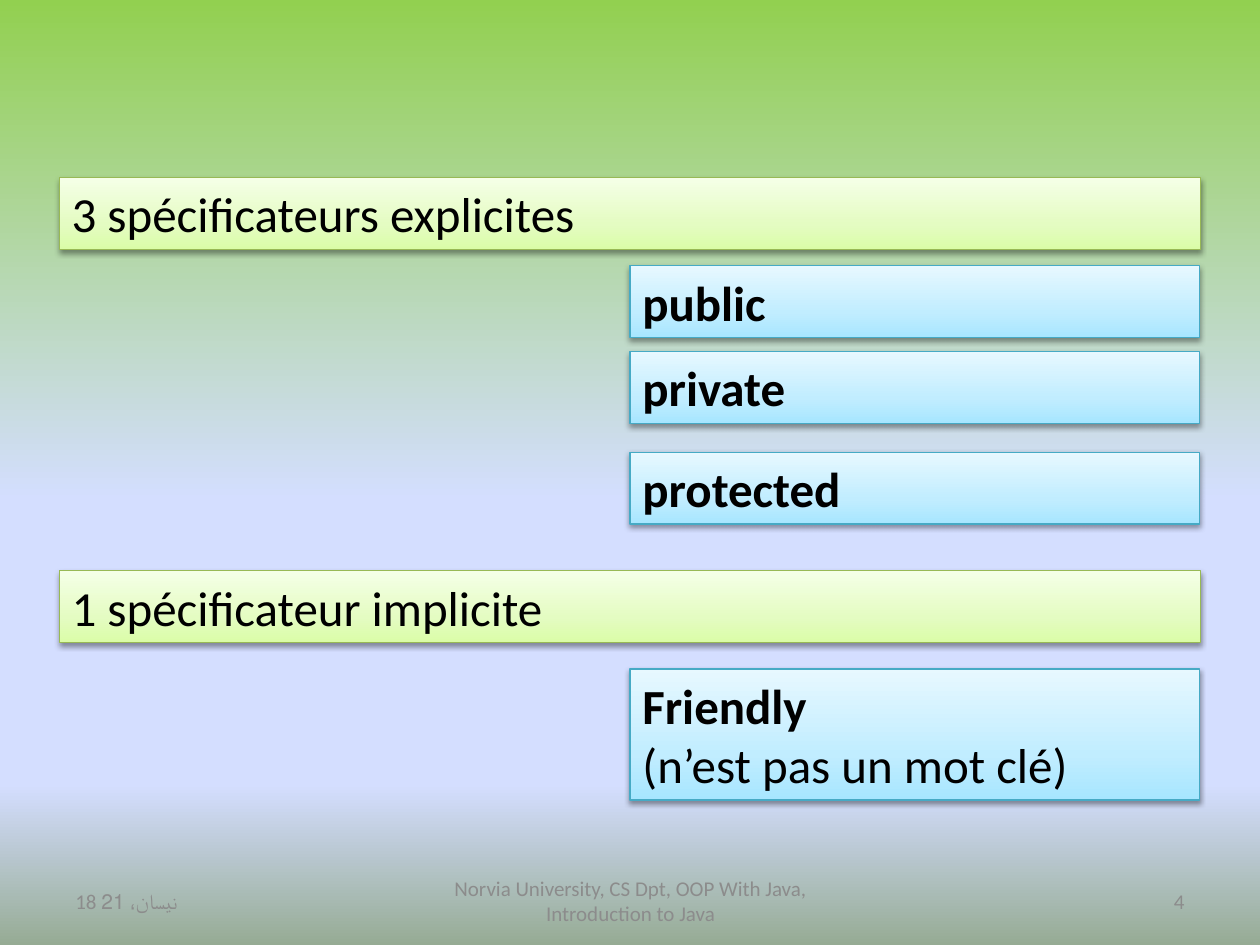
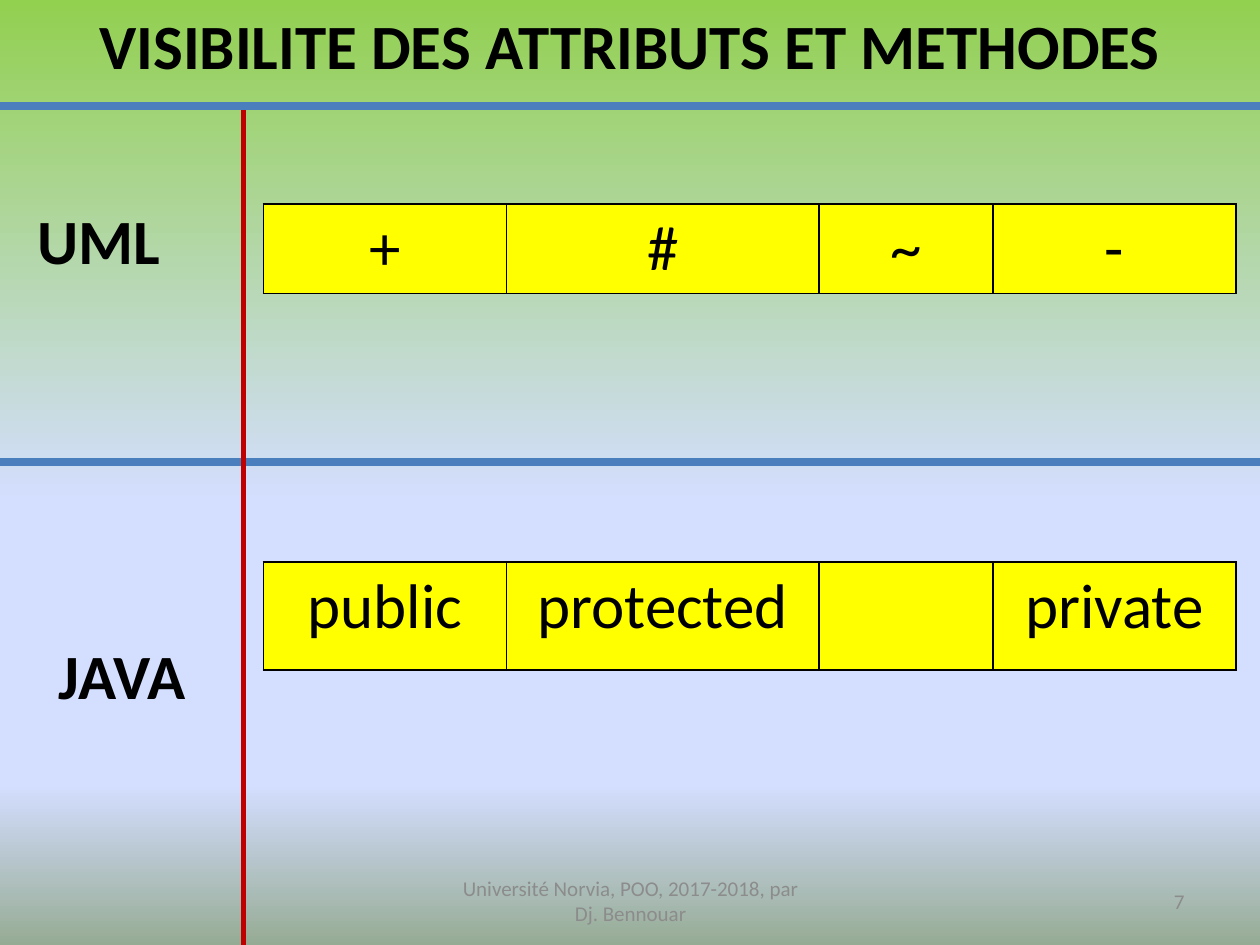
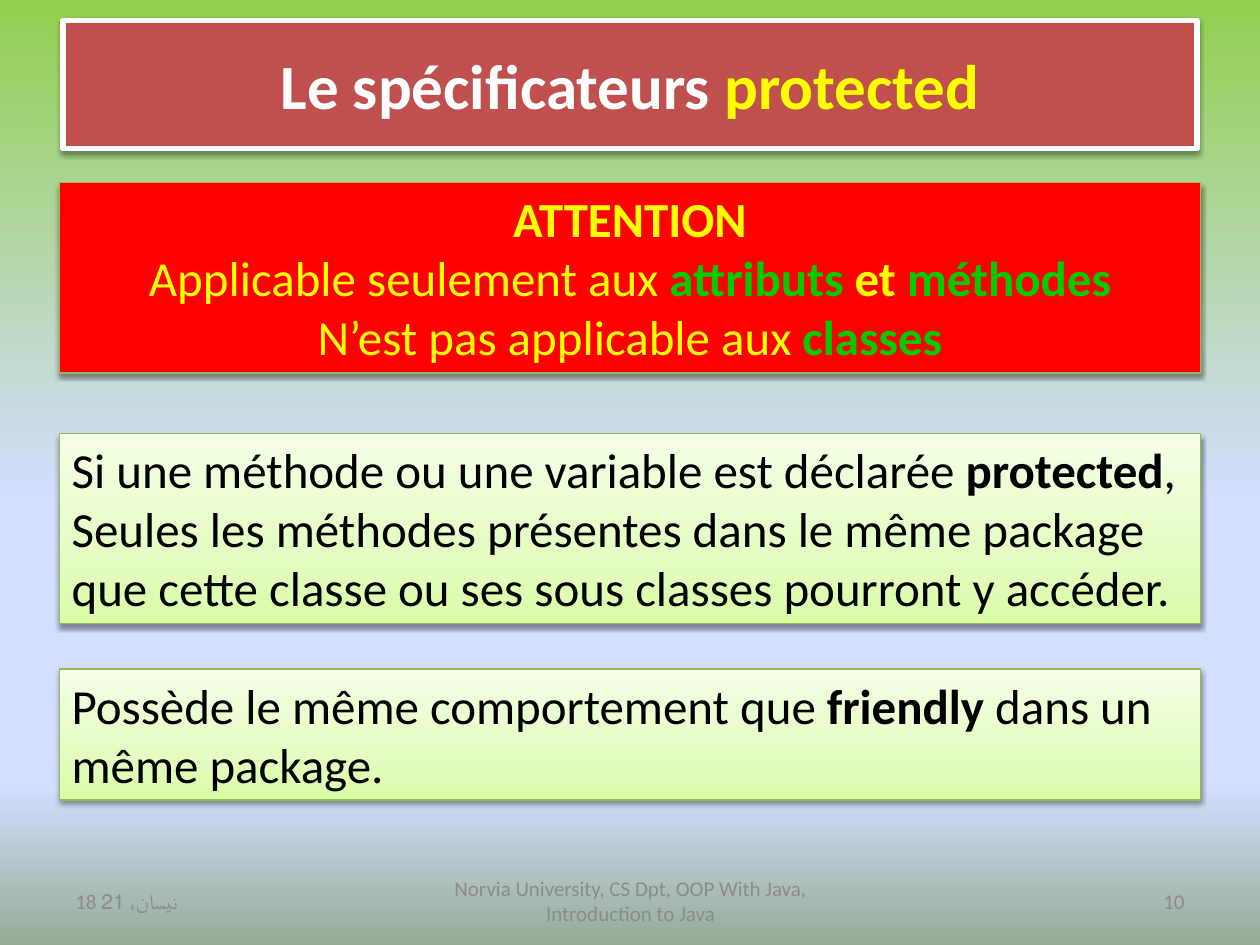
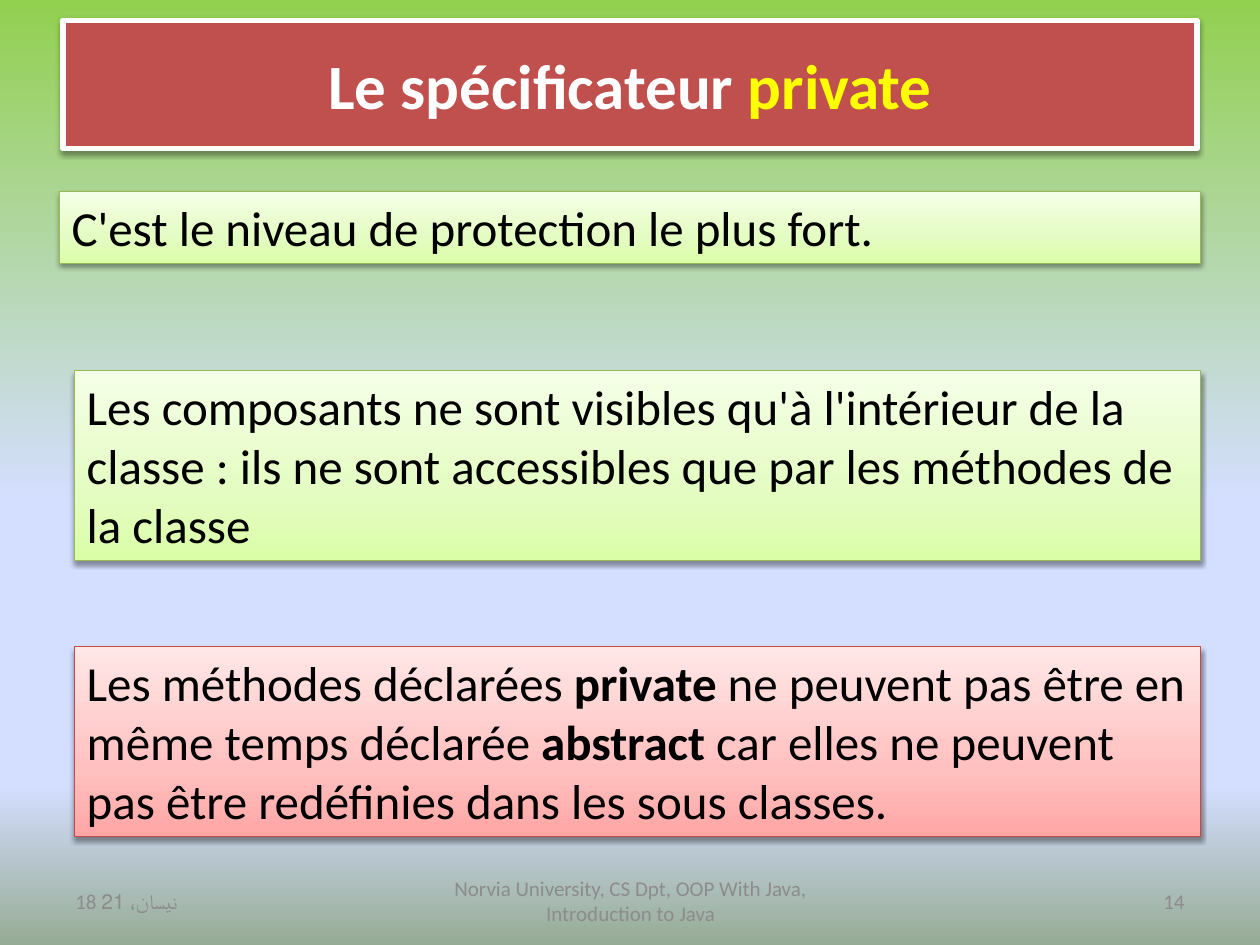
from copy import deepcopy

from pptx import Presentation
from pptx.dml.color import RGBColor
from pptx.enum.shapes import MSO_CONNECTOR, MSO_SHAPE
from pptx.enum.text import MSO_ANCHOR, PP_ALIGN
from pptx.oxml import parse_xml
from pptx.oxml.ns import nsdecls, qn
from pptx.oxml.xmlchemy import OxmlElement
from pptx.util import Pt

FONT = "Calibri"
BLACK, WHITE, GREY = "000000", "FFFFFF", "8C8C8C"
YELLOW, RED, DARK_RED, GREEN, BLUE = "FFFF00", "FF0000", "C00000", "00CC00", "4B7EBC"
BACKDROP = [(0, "92D050"), (0.53, "D4DEFF"), (0.83, "D4DEFF"), (1, "96AB94")]

# Box styles: fill (one colour or gradient stops), line colour, line width
LIME = ([(0, "DAFDA7"), (0.35, "E4FCC2"), (1, "F5FFE7")], "98B955", 0.75)
SKY = ([(0, "A7E6FF"), (0.35, "C1EDFF"), (1, "E7F8FF")], "46AAC5", 0.75)
ROSE = ([(0, "FFA6A5"), (0.35, "FFC0BF"), (1, "FFE7E7")], "BF4C48", 0.75)
ALERT = (RED, "98B955", 0.75)
BANNER = ("C0504D", WHITE, 3)

LEFT, CENTER, RIGHT = PP_ALIGN.LEFT, PP_ALIGN.CENTER, PP_ALIGN.RIGHT
TOP, MIDDLE = MSO_ANCHOR.TOP, MSO_ANCHOR.MIDDLE
BOLD = {"bold": True}
BOLD_GREEN = {"bold": True, "color": GREEN}
HEADING = {"size": 36, "bold": True, "color": BLACK}
BANNER_TEXT = {"size": 36, "bold": True, "color": WHITE}
FOOTER_TEXT = {"size": 12, "color": GREY}

PAGE_WIDTH, PAGE_HEIGHT = 720, 540
FULL = (33.84, 652.32)       # left, width
RIGHT_HALF = (360, 325.44)
INSET = (42.48, 643.68)
TITLE_AREA = (36, 11.52, 648, 73.44)
FOOTER_TOP, FOOTER_HEIGHT = 500.4, 28.8
LINE_HEIGHT, BOX_PADDING = 33.84, 7.2

COURSE = ["Norvia University, CS Dpt, OOP With Java, Introduction to Java"]
AUTHOR = ["Université Norvia, POO, 2017-2018, par", "Dj. Bennouar"]
DATE = ["18 نيسان، 21"]

# A paragraph is a string or a list of spans; a span is a string or (text, format).
# A box is (style, (left, width), top, line count, alignment, paragraphs).
SLIDES = [
    {
        "number": "4", "footer": COURSE, "date": DATE,
        "boxes": [
            (LIME, FULL, 101.5, 1, LEFT, ["3 spécificateurs explicites"]),
            (LIME, FULL, 326.2, 1, LEFT, ["1 spécificateur implicite"]),
            (SKY, RIGHT_HALF, 151.9, 1, LEFT, [[("public", BOLD)]]),
            (SKY, RIGHT_HALF, 200.9, 1, LEFT, [[("private", BOLD)]]),
            (SKY, RIGHT_HALF, 258.5, 1, LEFT, [[("protected", BOLD)]]),
            (SKY, RIGHT_HALF, 382.3, 2, LEFT,
             [[("Friendly", BOLD)], "(n’est pas un mot clé)"]),
        ],
    },
    {
        "number": "7", "footer": AUTHOR, "comparison": True,
        "heading": "VISIBILITE DES ATTRIBUTS ET METHODES",
    },
    {
        "number": "10", "footer": COURSE, "date": DATE,
        "title": ["Le spécificateurs ", ("protected", {"color": YELLOW})],
        "boxes": [
            (ALERT, FULL, 104.4, 3, CENTER, [
                [("ATTENTION", {"bold": True, "color": YELLOW})],
                [("Applicable seulement aux ", {"color": YELLOW}),
                 ("attributs", BOLD_GREEN),
                 (" et ", {"bold": True, "color": YELLOW}),
                 ("méthodes", BOLD_GREEN)],
                [("N’est pas applicable aux ", {"color": YELLOW}),
                 ("classes", BOLD_GREEN)],
            ]),
            (LIME, FULL, 247.7, 3, LEFT, [[
                "Si une méthode ou une variable est déclarée ", ("protected", BOLD),
                ", Seules les méthodes présentes dans le même package que cette "
                "classe ou ses sous classes pourront y accéder."]]),
            (LIME, FULL, 382.3, 2, LEFT, [[
                "Possède le même comportement que ", ("friendly", BOLD),
                " dans un même package."]]),
        ],
    },
    {
        "number": "14", "footer": COURSE, "date": DATE,
        "title": ["Le spécificateur ", ("private", {"color": YELLOW})],
        "boxes": [
            (LIME, FULL, 109.4, 1, LEFT, ["C'est le niveau de protection le plus fort."]),
            (LIME, INSET, 211.7, 3, LEFT, [
                "Les composants ne sont visibles qu'à l'intérieur de la classe : "
                "ils ne sont accessibles que par les méthodes de la classe"]),
            (ROSE, INSET, 369.4, 3, LEFT, [[
                "Les méthodes déclarées ", ("private", BOLD),
                " ne peuvent pas être en même temps déclarée ", ("abstract", BOLD),
                " car elles ne peuvent pas être redéfinies dans les sous classes."]]),
        ],
    },
]

LANGUAGES = [("UML", (14.4, 111.6, 107.3, 51.1)), ("JAVA", (26.64, 360, 136, 51.1))]
RULES = [  # start, end, colour, width
    ((0, 264.24), (PAGE_WIDTH, 264.24), BLUE, 4.5),
    ((138.96, 60.48), (138.96, PAGE_HEIGHT), DARK_RED, 3),
    ((0, 60.48), (PAGE_WIDTH, 60.48), BLUE, 4.5),
]
TABLE_LEFT, TABLE_TOP = 150.48, 116.64
COLUMN_WIDTHS = [138.96, 178.56, 99.36, 138.96]
ROW_HEIGHTS = [51.12] * 4 + [61.92]
SYMBOLS = ["+", "#", "~", "-"]
KEYWORDS = ["public", "protected", "", "private"]
TABLE_ROWS = [  # texts, bordered sides
    (SYMBOLS, "LRTB"), (None, "T"), (None, ""), (None, "B"), (KEYWORDS, "LRTB"),
]
PLAIN_TABLE_STYLE = "{2D5ABB26-0587-4C30-8999-92F81FD0307C}"


def rgb(color):
    return RGBColor.from_string(color)


def points(values):
    return [Pt(value) for value in values]


def set_fill(fill, element, paint, angle=90):
    """Fill with one colour or with gradient stops; element holds the fill."""
    if isinstance(paint, str):
        fill.solid()
        fill.fore_color.rgb = rgb(paint)
        return
    fill.gradient()
    fill.gradient_angle = angle
    stop_list = element.find(".//" + qn("a:gsLst"))
    while len(stop_list) < len(paint):
        stop_list.append(deepcopy(stop_list[0]))
    for stop, (position, color) in zip(fill.gradient_stops, paint):
        stop.position = position
        stop.color.rgb = rgb(color)


def style_box(box, style):
    paint, line_color, line_width = style
    set_fill(box.fill, box.element.spPr, paint)
    box.line.color.rgb = rgb(line_color)
    box.line.width = Pt(line_width)
    box.shadow.inherit = False
    box.element.spPr.find(qn("a:effectLst")).append(parse_xml(
        f'<a:outerShdw {nsdecls("a")} blurRad="{Pt(3.1)}" dist="{Pt(1.6)}" '
        'dir="5400000" rotWithShape="0"><a:srgbClr val="000000">'
        '<a:alpha val="38000"/></a:srgbClr></a:outerShdw>'))


def write(frame, paragraphs, base=None, align=LEFT, anchor=TOP):
    frame.word_wrap = True
    frame.vertical_anchor = anchor
    for index, spans in enumerate(paragraphs):
        para = frame.paragraphs[0] if index == 0 else frame.add_paragraph()
        para.alignment = align
        for span in [spans] if isinstance(spans, str) else spans:
            text, extra = (span, {}) if isinstance(span, str) else span
            values = {"size": 28, "bold": False, "color": BLACK, **(base or {}), **extra}
            run = para.add_run()
            run.text = text
            run.font.color.rgb = rgb(values.pop("color"))
            values.update(name=FONT, size=Pt(values["size"]))
            for name, value in values.items():
                setattr(run.font, name, value)


def add_label(page, area, paragraphs, base, align=LEFT, anchor=TOP):
    box = page.shapes.add_textbox(*points(area))
    write(box.text_frame, paragraphs, base, align, anchor)


def set_title(page, area, spans, base, anchor):
    title = page.shapes.title
    title.left, title.top, title.width, title.height = points(area)
    write(title.text_frame, [spans], base, CENTER, anchor)
    return title


def add_box(page, style, span, top, lines, align, paragraphs):
    left, width = span
    height = lines * LINE_HEIGHT + BOX_PADDING
    box = page.shapes.add_shape(MSO_SHAPE.RECTANGLE, *points((left, top, width, height)))
    style_box(box, style)
    write(box.text_frame, paragraphs, align=align)


def add_footer(page, content):
    parts = [
        (246.24, 228.24, content["footer"], CENTER),
        (516.24, 167.76, [content["number"]], RIGHT),
        (36, 167.76, content.get("date"), LEFT),
    ]
    for left, width, paragraphs, align in parts:
        if paragraphs:
            area = (left, FOOTER_TOP, width, FOOTER_HEIGHT)
            add_label(page, area, paragraphs, FOOTER_TEXT, align, MIDDLE)


def add_rule(page, start, end, color, width):
    rule = page.shapes.add_connector(MSO_CONNECTOR.STRAIGHT, *points(start + end))
    rule.line.color.rgb = rgb(color)
    rule.line.width = Pt(width)
    rule.element.spPr.append(OxmlElement("a:effectLst"))


def set_borders(cell, sides):
    for side in "LRTB":
        paint = '<a:solidFill><a:srgbClr val="000000"/></a:solidFill>'
        if side not in sides:
            paint = "<a:noFill/>"
        cell._tc.get_or_add_tcPr().append(parse_xml(
            f'<a:ln{side} {nsdecls("a")} w="{Pt(1)}">{paint}</a:ln{side}>'))


def add_visibility_table(page):
    area = (TABLE_LEFT, TABLE_TOP, sum(COLUMN_WIDTHS), sum(ROW_HEIGHTS))
    table = page.shapes.add_table(
        len(ROW_HEIGHTS), len(COLUMN_WIDTHS), *points(area)).table
    table.first_row = table.horz_banding = False
    table._tbl.tblPr.find(qn("a:tableStyleId")).text = PLAIN_TABLE_STYLE
    for column, width in zip(table.columns, COLUMN_WIDTHS):
        column.width = Pt(width)
    for row, height, (texts, sides) in zip(table.rows, ROW_HEIGHTS, TABLE_ROWS):
        row.height = Pt(height)
        for index, cell in enumerate(row.cells):
            set_borders(cell, sides)
            if texts is None:
                cell.fill.background()
                continue
            set_fill(cell.fill, None, YELLOW)
            if texts[index]:
                write(cell.text_frame, [texts[index]], {"size": 36}, CENTER)


def add_comparison(page):
    for language, area in LANGUAGES:
        add_label(page, area, [language], HEADING)
    for rule in RULES:
        add_rule(page, *rule)
    add_visibility_table(page)


def main():
    deck = Presentation()
    deck.slide_width, deck.slide_height = Pt(PAGE_WIDTH), Pt(PAGE_HEIGHT)
    master = deck.slide_master
    set_fill(master.background.fill, master.element, BACKDROP, angle=270)
    title_only = deck.slide_layouts.get_by_name("Title Only")
    blank = deck.slide_layouts.get_by_name("Blank")

    for content in SLIDES:
        titled = "title" in content or "heading" in content
        page = deck.slides.add_slide(title_only if titled else blank)
        if "title" in content:
            title = set_title(page, TITLE_AREA, content["title"], BANNER_TEXT, MIDDLE)
            style_box(title, BANNER)
        elif "heading" in content:
            set_title(page, (0, 0, PAGE_WIDTH, 51.12), content["heading"], HEADING, TOP)
        for box in content.get("boxes", []):
            add_box(page, *box)
        if content.get("comparison"):
            add_comparison(page)
        add_footer(page, content)
    deck.save("out.pptx")


if __name__ == "__main__":
    main()
